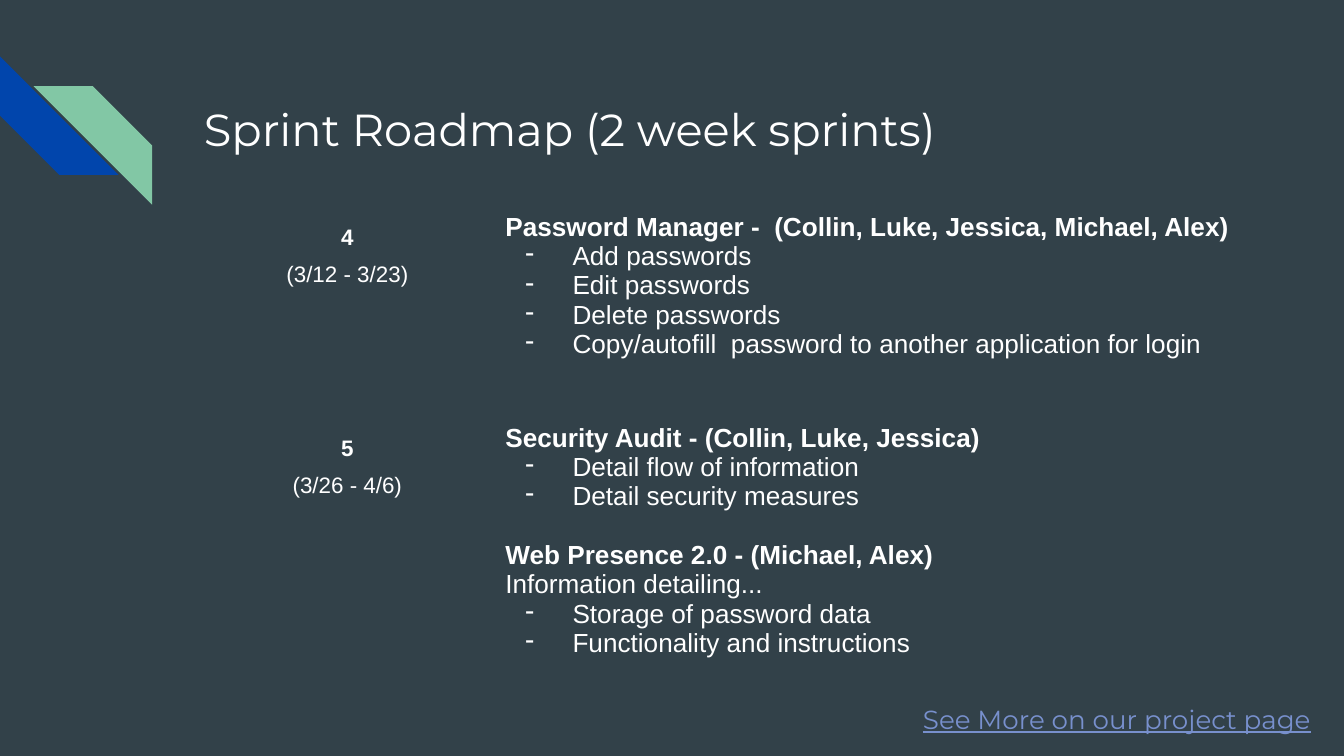
import pptx
import pptx.dml.color
import pptx.enum.shapes
import pptx.enum.text
import pptx.oxml.ns
import pptx.util
from lxml import etree

Pt = pptx.util.Pt
qn = pptx.oxml.ns.qn
ALIGN = pptx.enum.text.PP_ALIGN

BACKDROP, WHITE, BLUE, GREEN, LINK = "324149", "FFFFFF", "0145AC", "82C7A5", "7890CD"
INSET = 7.2
SECTION_GAP = 15.7

SPRINTS = [
    ("4", "(3/12 - 3/23)", 113, [
        ("Password Manager -  (Collin, Luke, Jessica, Michael, Alex)", None,
         ["Add passwords", "Edit passwords", "Delete passwords",
          "Copy/autofill  password to another application for login"]),
    ]),
    ("5", "(3/26 - 4/6)", 134.6, [
        ("Security Audit - (Collin, Luke, Jessica)", None,
         ["Detail flow of information", "Detail security measures"]),
        ("Web Presence 2.0 - (Michael, Alex)", "Information detailing...",
         ["Storage of password data", "Functionality and instructions"]),
    ]),
]


def rgb(color):
    return pptx.dml.color.RGBColor.from_string(color)


def add_text(frame, text, size=14, color=WHITE, font="Arial", bold=False, underline=False,
             align=ALIGN.LEFT, spacing=1.0, before=0, dash=False):
    paragraph = frame.paragraphs[0]
    if paragraph.runs:
        paragraph = frame.add_paragraph()
    paragraph.alignment = align
    paragraph.line_spacing = spacing
    paragraph.space_before = Pt(before)
    run = paragraph.add_run()
    run.text = text
    run.font.size = Pt(size)
    run.font.name = font
    run.font.bold = bold
    run.font.underline = underline
    run.font.color.rgb = rgb(color)
    if dash:
        properties = paragraph._p.get_or_add_pPr()
        properties.set("marL", str(Pt(36)))
        properties.set("indent", str(-Pt(25.2)))
        bullet_color = etree.SubElement(properties, qn("a:buClr"))
        etree.SubElement(bullet_color, qn("a:srgbClr"), val=color)
        etree.SubElement(properties, qn("a:buChar"), char="-")


def set_insets(target):
    target.margin_left = target.margin_right = Pt(INSET)
    target.margin_top = target.margin_bottom = Pt(INSET)


def add_line(slide, left, top, width, height, text, **style):
    frame = slide.shapes.add_textbox(Pt(left), Pt(top), Pt(width), Pt(height)).text_frame
    frame.word_wrap = True
    set_insets(frame)
    add_text(frame, text, font="Montserrat", **style)


def add_corner_stripes(slide, left, top, size):
    for dx, dy, rotation, color in [(0, 0, 270, BLUE), (18, 16, 90, GREEN)]:
        stripe = slide.shapes.add_shape(
            pptx.enum.shapes.MSO_SHAPE.DIAGONAL_STRIPE,
            Pt(left + dx), Pt(top + dy), Pt(size), Pt(size))
        stripe.adjustments[0] = 0.5
        stripe.rotation = rotation
        stripe.shadow.inherit = False
        stripe.fill.solid()
        stripe.fill.fore_color.rgb = rgb(color)
        stripe.line.fill.background()


def style_cell(cell):
    set_insets(cell)
    cell.fill.background()
    properties = cell._tc.get_or_add_tcPr()
    for position, side in enumerate(["lnL", "lnR", "lnT", "lnB"]):
        border = etree.Element(qn("a:" + side), w=str(Pt(0.75)))
        fill = etree.SubElement(border, qn("a:solidFill"))
        etree.SubElement(fill, qn("a:srgbClr"), val=BACKDROP)
        properties.insert(position, border)


def add_roadmap(slide, left, top, column_widths):
    height = sum(sprint[2] for sprint in SPRINTS)
    roadmap = slide.shapes.add_table(
        len(SPRINTS), len(column_widths), Pt(left), Pt(top),
        Pt(sum(column_widths)), Pt(height)).table
    roadmap.first_row = False
    roadmap.horz_banding = False
    for column, width in zip(roadmap.columns, column_widths):
        column.width = Pt(width)
    for index, (number, dates, row_height, features) in enumerate(SPRINTS):
        roadmap.rows[index].height = Pt(row_height)
        sprint_cell, work_cell = roadmap.cell(index, 0), roadmap.cell(index, 1)
        style_cell(sprint_cell)
        style_cell(work_cell)
        sprint, work = sprint_cell.text_frame, work_cell.text_frame
        add_text(sprint, number, size=12, bold=True, align=ALIGN.CENTER, spacing=1.5)
        add_text(sprint, dates, size=12, align=ALIGN.CENTER, spacing=1.5)
        for order, (heading, intro, tasks) in enumerate(features):
            add_text(work, heading, bold=True, before=SECTION_GAP if order else 0)
            if intro:
                add_text(work, intro)
            for task in tasks:
                add_text(work, task, dash=True)


def main():
    deck = pptx.Presentation()
    deck.slide_width, deck.slide_height = Pt(720), Pt(405)
    slide = deck.slides.add_slide(deck.slide_layouts[6])
    slide.background.fill.solid()
    slide.background.fill.fore_color.rgb = rgb(BACKDROP)
    add_corner_stripes(slide, 0, 30.2, 63.5)
    add_line(slide, 102.2, 47.5, 554.4, 44, "Sprint Roadmap (2 week sprints)", size=24)
    add_roadmap(slide, 108.7, 106.6, [154.8, 405.4])
    add_line(slide, 487.4, 369.4, 237.6, 47.5, "See More on our project page",
             color=LINK, underline=True)
    deck.save("out.pptx")


if __name__ == "__main__":
    main()
